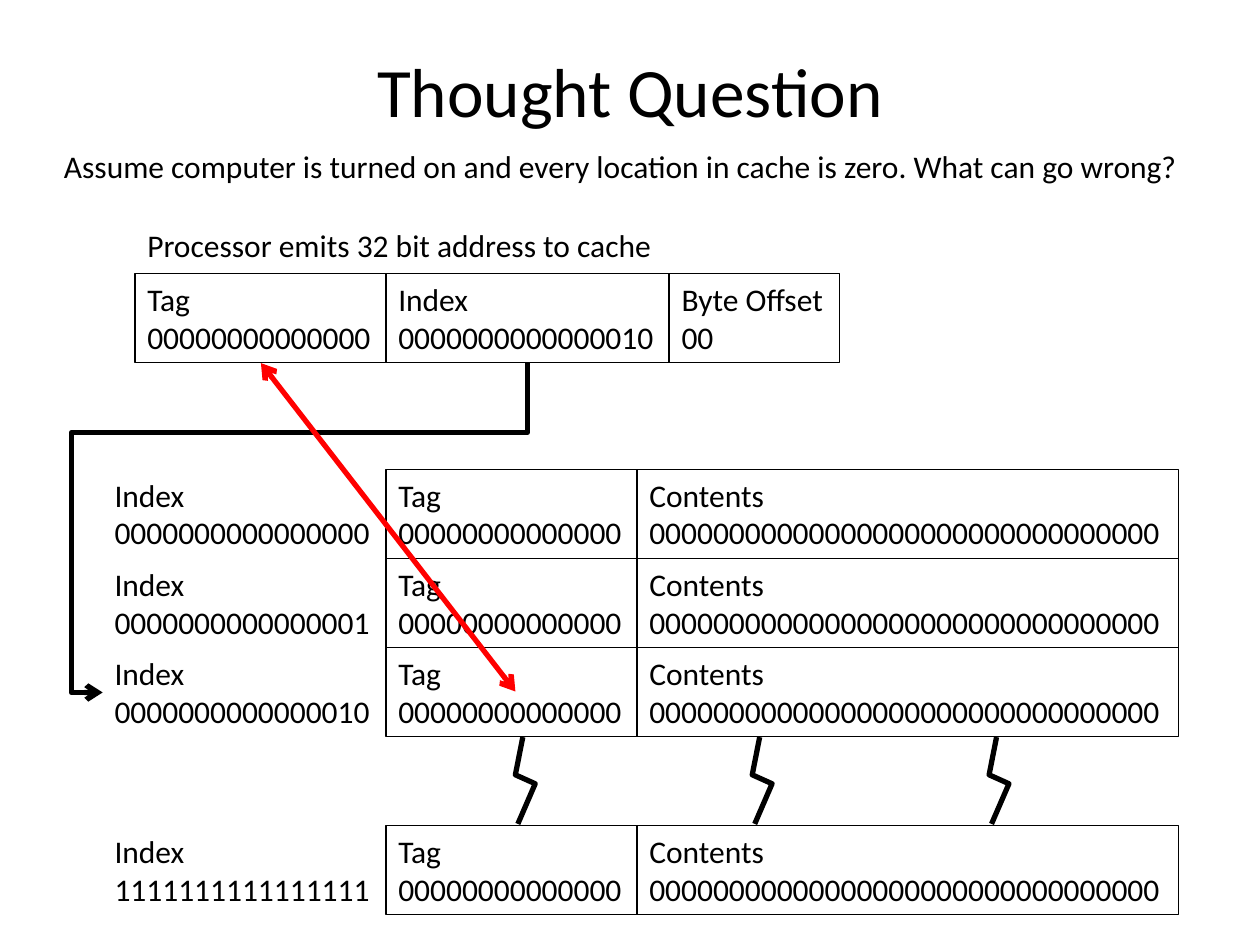
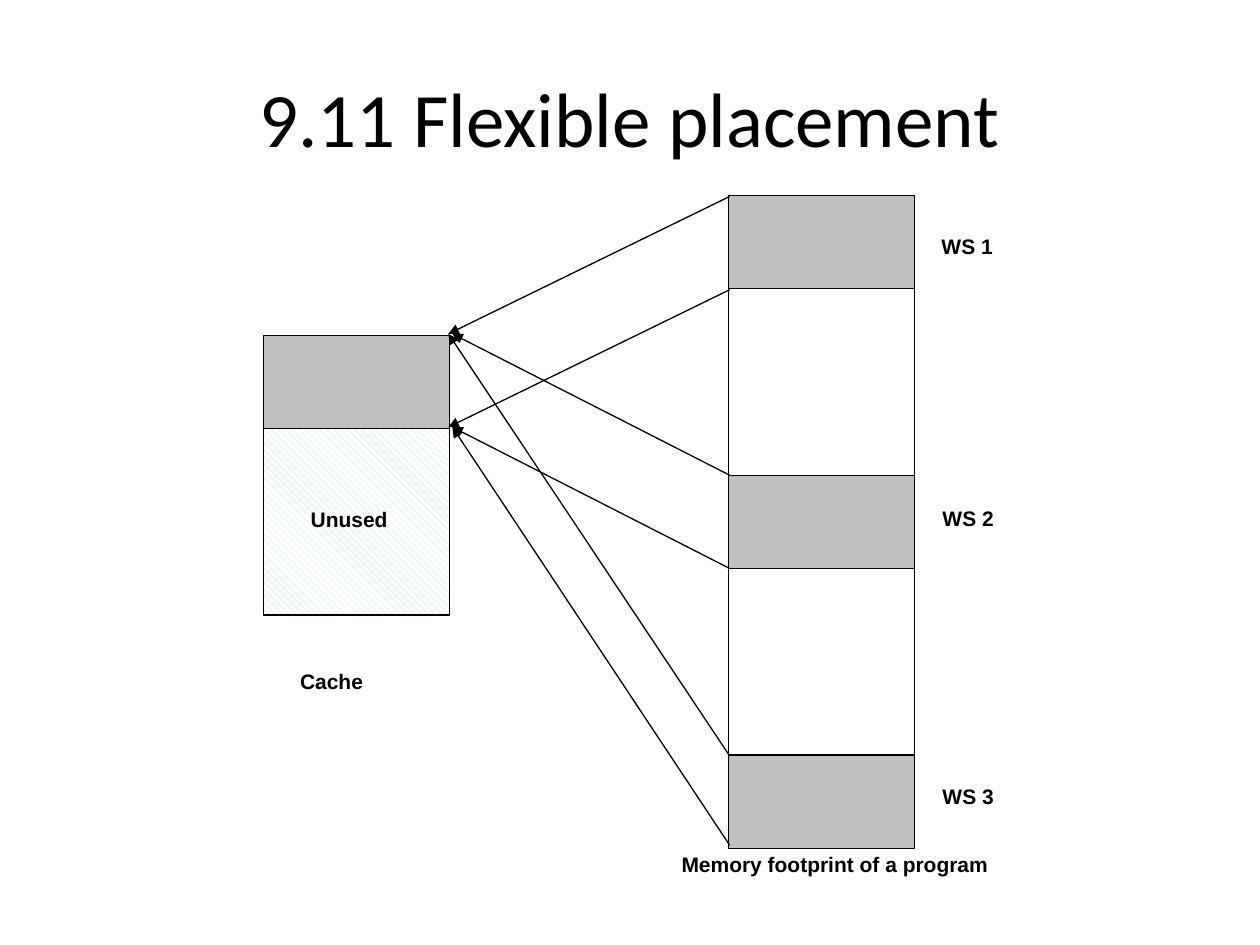
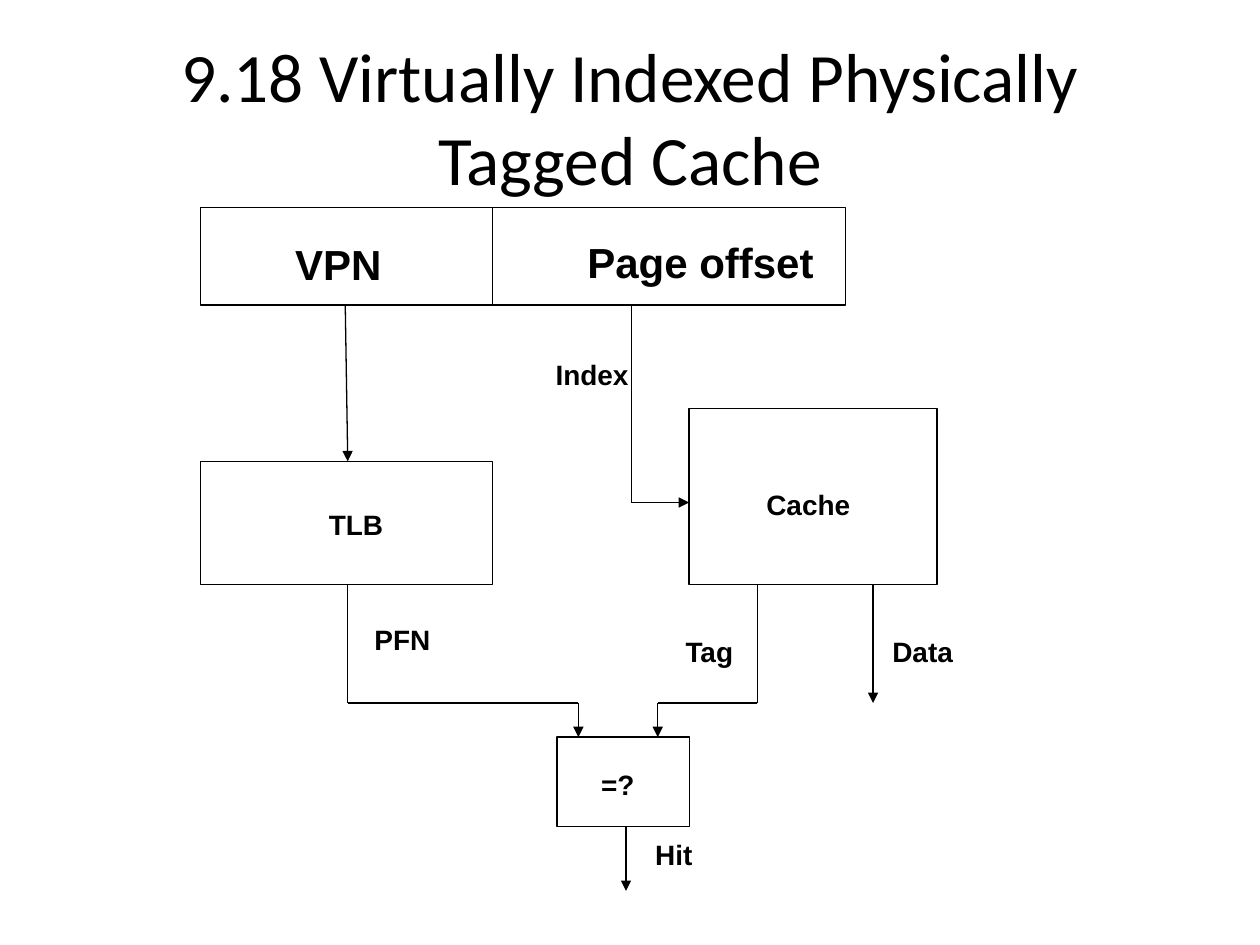
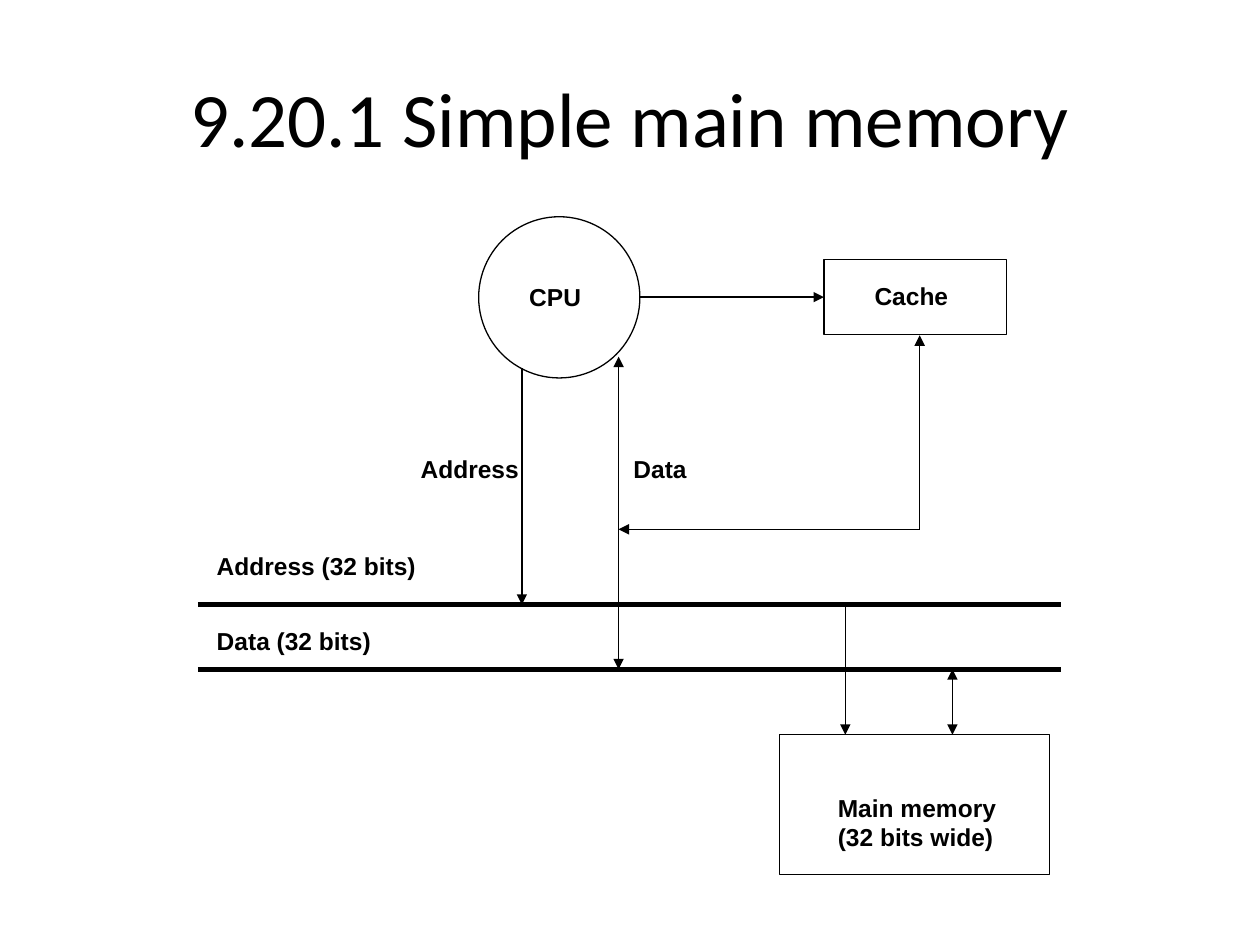
from dataclasses import dataclass
from typing import Optional, Sequence

from lxml.etree import SubElement
from pptx import Presentation
from pptx.dml.color import RGBColor
from pptx.enum.dml import MSO_PATTERN
from pptx.enum.shapes import MSO_CONNECTOR as Connector, MSO_SHAPE as Preset
from pptx.enum.text import MSO_ANCHOR as Anchor, MSO_AUTO_SIZE as AutoSize, PP_ALIGN as Align
from pptx.oxml.ns import qn
from pptx.util import Cm, Pt

BLACK, WHITE, RED = "000000", "FFFFFF", "FF0000"
WORKING_SET, UNUSED = "C0C0C0", "BBE0E3"
TITLE_FONT, LABEL_FONT = "Calibri", "Arial"
THIN, THICK = 0.75, 3
DEFAULT_INSET = (0.25, 0.13)


@dataclass(frozen=True)
class Box:
    """An outlined shape, measured in centimetres."""
    left: float
    top: float
    width: float
    height: float
    fill: Optional[str] = None
    preset: Preset = Preset.RECTANGLE


@dataclass(frozen=True)
class Label:
    """A piece of text and its place in centimetres."""
    text: str
    left: float
    top: float
    width: float
    height: float
    size: float
    align: Align = Align.LEFT


@dataclass(frozen=True)
class Route:
    """A run of straight lines through points in centimetres."""
    points: Sequence[tuple[float, float]]
    head: str = ""
    tail: str = "triangle"
    color: str = BLACK
    weight: float = THIN


def rgb(value: str) -> RGBColor:
    """Return the colour of a hex string."""
    return RGBColor.from_string(value)


def write_text(frame, text: str, *, size: float, font: str = LABEL_FONT, bold: bool = False,
               align: Align = Align.LEFT, anchor: Anchor = Anchor.TOP, wrap: bool = True,
               inset: tuple[float, float] = DEFAULT_INSET, space_after: float = 0,
               auto_size: AutoSize = AutoSize.NONE) -> None:
    """Fill a text frame, one paragraph for each line of text."""
    frame.text = text
    frame.word_wrap, frame.vertical_anchor, frame.auto_size = wrap, anchor, auto_size
    frame.margin_left = frame.margin_right = Cm(inset[0])
    frame.margin_top = frame.margin_bottom = Cm(inset[1])
    for paragraph in frame.paragraphs:
        paragraph.alignment, paragraph.space_after = align, Pt(space_after)
        paragraph.font.name, paragraph.font.size = font, Pt(size)
        paragraph.font.bold, paragraph.font.color.rgb = bold, rgb(BLACK)


def add_titled_slide(presentation, title: str, size: float = 44, height: float = 3.18):
    """Add a title-only slide and place its title."""
    slide = presentation.slides.add_slide(presentation.slide_layouts[5])
    shape = slide.shapes.title
    shape.left, shape.top, shape.width, shape.height = map(Cm, (1.27, 0.76, 22.86, height))
    write_text(shape.text_frame, title, size=size, font=TITLE_FONT,
               align=Align.CENTER, anchor=Anchor.MIDDLE)
    return slide


def style_line(line, color: str = BLACK, weight: float = THIN) -> None:
    """Set the colour and weight of a line."""
    line.color.rgb = rgb(color)
    line.width = Pt(weight)


def add_box(slide, box: Box):
    """Draw an outlined box."""
    shape = slide.shapes.add_shape(
        box.preset, *map(Cm, (box.left, box.top, box.width, box.height)))
    shape.shadow.inherit = False
    style_line(shape.line)
    if box.fill:
        shape.fill.solid()
        shape.fill.fore_color.rgb = rgb(box.fill)
    else:
        shape.fill.background()
    return shape


def add_label(slide, label: Label, **text_format):
    """Draw a text box, bold unless told otherwise."""
    shape = slide.shapes.add_textbox(
        *map(Cm, (label.left, label.top, label.width, label.height)))
    write_text(shape.text_frame, label.text, size=label.size, align=label.align,
               **{"bold": True, **text_format})
    return shape


def finish_connector(connector, color: str, weight: float, head: str, tail: str) -> None:
    """Style a connector, give it arrowheads and drop its shadow."""
    style_line(connector.line, color, weight)
    properties = connector.element.spPr
    outline = properties.find(qn("a:ln"))
    for tag, kind in (("a:headEnd", head), ("a:tailEnd", tail)):
        if kind:
            SubElement(outline, qn(tag), type=kind)
    SubElement(properties, qn("a:effectLst"))


def add_route(slide, route: Route) -> None:
    """Draw the lines of a route with arrowheads at its two ends."""
    last = len(route.points) - 2
    for position, (begin, end) in enumerate(zip(route.points, route.points[1:])):
        connector = slide.shapes.add_connector(Connector.STRAIGHT, *map(Cm, (*begin, *end)))
        finish_connector(connector, route.color, route.weight,
                         route.head if position == 0 else "",
                         route.tail if position == last else "")


def add_diagram(slide, boxes: Sequence[Box], routes: Sequence[Route],
                labels: Sequence[Label], **text_format) -> None:
    """Draw boxes, then routes, then labels."""
    for box in boxes:
        add_box(slide, box)
    for route in routes:
        add_route(slide, route)
    for label in labels:
        add_label(slide, label, **text_format)


def add_field(slide, name: str, bits: str, left: float, top: float, width: float,
              outlined: bool = True) -> None:
    """Draw a named bit field."""
    field_format = {"font": TITLE_FONT, "wrap": False, "auto_size": AutoSize.SHAPE_TO_FIT_TEXT}
    text, place = f"{name}\n{bits}", (left, top, width, 1.8)
    if outlined:
        write_text(add_box(slide, Box(*place)).text_frame, text, size=18, **field_format)
    else:
        add_label(slide, Label(text, *place, 18), bold=False, **field_format)


def add_break(slide, left: float, top: float) -> None:
    """Draw a zigzag that stands for the rows left out."""
    offsets = ((0, 0), (-0.15, 0.76), (0.25, 0.94), (-0.1, 1.75))
    points = [(Cm(left + x), Cm(top + y)) for x, y in offsets]
    builder = slide.shapes.build_freeform(*points[0], scale=1.0)
    builder.add_line_segments(points[1:], close=False)
    shape = builder.convert_to_shape()
    shape.shadow.inherit = False
    shape.fill.background()
    style_line(shape.line, weight=THICK)


def add_index_arrow(slide) -> None:
    """Draw the bent arrow from the address index to its cache row."""
    connector = slide.shapes.add_connector(
        Connector.ELBOW, *map(Cm, (3.02, 6.35, 9.68, 14.91)))
    properties = connector.element.spPr
    properties.find(qn("a:xfrm")).set("rot", str(90 * 60000))
    geometry = properties.find(qn("a:prstGeom"))
    geometry.set("prst", "bentConnector4")
    guides = geometry.find(qn("a:avLst"))
    for name, value in (("adj1", 21300), ("adj2", 107400)):
        SubElement(guides, qn("a:gd"), name=name, fmla=f"val {value}")
    finish_connector(connector, BLACK, THICK, "", "arrow")


def build_thought_question(presentation) -> None:
    """Build the slide on a cache full of zeros."""
    slide = add_titled_slide(presentation, "Thought Question", 39.6, 2.08)
    sentence_format = {"font": TITLE_FONT, "bold": False, "wrap": False}
    tag_width, index_width, tag_left = 5.06, 5.72, 7.78
    tag_bits = "0" * 14

    add_field(slide, "Index", "0000000000000010", tag_left, 5.51, index_width)
    add_field(slide, "Byte Offset", "00", 13.49, 5.51, 3.43)
    add_field(slide, "Tag", tag_bits, 2.72, 5.51, tag_width)
    add_label(slide, Label("Processor emits 32 bit address to cache",
                           2.72, 4.42, 10.8, 1.02, 18), **sentence_format)

    for row, index in ((0, 0), (1, 1), (2, 2), (4, 2 ** 16 - 1)):
        top = 9.46 + 1.795 * row
        index_bits = f"{index:016b}"
        add_field(slide, "Index", index_bits, 2.06, top, index_width, outlined=False)
        add_field(slide, "Tag", tag_bits, tag_left, top, tag_width)
        add_field(slide, "Contents", "0" * 32, tag_left + tag_width, top, 10.92)

    for column in range(3):
        add_break(slide, 10.54 + 4.775 * column, 14.86)
    add_index_arrow(slide)
    add_route(slide, Route(((5.26, 7.32), (10.39, 13.94)), "arrow", "arrow", RED, THICK))
    add_label(slide, Label(
        "Assume computer is turned on and every location in cache is zero. What can go wrong?",
        1.04, 2.84, 23.24, 1.02, 18), **sentence_format)


def build_flexible_placement(presentation) -> None:
    """Build the slide on working sets that share one cache area."""
    slide = add_titled_slide(presentation, "9.11 Flexible placement")
    width, set_height, memory_left, memory_top = 3.76, 1.88, 14.68, 3.94
    unused = add_box(slide, Box(5.31, 8.64, width, 3.76))
    unused.fill.patterned()
    unused.fill.pattern = MSO_PATTERN.WIDE_DOWNWARD_DIAGONAL
    unused.fill.fore_color.rgb = rgb(UNUSED)
    unused.fill.back_color.rgb = rgb(WHITE)

    working_sets = [Box(memory_left, memory_top + 5.64 * number, width, set_height, WORKING_SET)
                    for number in range(3)]
    boxes = [Box(5.31, 6.76, width, set_height, WORKING_SET),
             Box(memory_left, memory_top, width, 12.4), *working_sets]
    routes = [Route(((14.71, start), (end, target))) for start, end, target in (
        (3.96, 9.04, 6.73), (5.84, 9.04, 8.61),
        (9.58, 9.12, 6.73), (11.46, 9.12, 8.61),
        (15.24, 9.04, 6.73), (17.04, 9.12, 8.61))]
    labels = [
        Label("WS 1", 18.85, 4.62, 1.37, 0.64, 12),
        Label("WS 2", 18.87, 10.11, 1.37, 0.64, 12),
        Label("WS 3", 18.87, 15.72, 1.37, 0.64, 12),
        Label("Cache", 5.92, 13.39, 1.68, 0.64, 12),
        Label("Memory footprint of a program", 13.61, 17.09, 6.65, 0.64, 12),
        Label("Unused", 5.92, 10.13, 2.24, 0.64, 12, Align.CENTER),
    ]
    add_diagram(slide, boxes, routes, labels, inset=(0.13, 0.08), space_after=10)


def build_tagged_cache(presentation) -> None:
    """Build the slide on the virtually indexed cache."""
    slide = add_titled_slide(
        presentation, "9.18 Virtually Indexed Physically Tagged Cache", 39.6)
    boxes = [
        Box(4.04, 4.19, 13, 1.96),
        Box(4.04, 9.3, 5.89, 2.49),
        Box(13.89, 8.23, 5, 3.56),
        Box(11.23, 14.86, 2.67, 1.8),
    ]
    routes = [
        Route(((9.93, 4.19), (9.93, 6.17)), tail=""),
        Route(((6.96, 6.17), (7.01, 9.3))),
        Route(((12.73, 6.17), (12.73, 10.13), (13.89, 10.13))),
        Route(((17.6, 11.79), (17.6, 14.17))),
        Route(((7.01, 11.79), (7.01, 14.17), (11.66, 14.17), (11.66, 14.86))),
        Route(((15.27, 11.79), (15.27, 14.17), (13.26, 14.17), (13.26, 14.86))),
        Route(((12.62, 16.66), (12.62, 17.96))),
    ]
    labels = [
        Label("Page offset", 11.66, 4.67, 5, 0.99, 24),
        Label("VPN", 5.77, 4.7, 2.44, 0.99, 24),
        Label("TLB", 6.45, 10.13, 1.68, 0.81, 16),
        Label("Cache", 15.27, 9.73, 2.31, 0.81, 16),
        Label("=?", 11.94, 15.37, 1.32, 0.81, 16),
        Label("PFN", 7.37, 12.45, 1.75, 0.81, 16),
        Label("Tag", 13.64, 12.7, 1.6, 0.81, 16),
        Label("Data", 17.81, 12.7, 1.78, 0.81, 16),
        Label("Hit", 13.03, 16.79, 1.4, 0.81, 16),
        Label("Index", 11.02, 7.11, 2.01, 0.81, 16),
    ]
    add_diagram(slide, boxes, routes, labels, inset=(0.18, 0.1))


def build_main_memory(presentation) -> None:
    """Build the slide on a simple main memory."""
    slide = add_titled_slide(presentation, "9.20.1 Simple main memory")
    address_bus, data_bus = 12.19, 13.49
    boxes = [
        Box(9.65, 4.37, 3.25, 3.25, preset=Preset.OVAL),
        Box(16.61, 5.23, 3.68, 1.52),
        Box(15.72, 14.81, 5.44, 2.82),
    ]
    routes = [
        *(Route(((3.99, bus), (21.39, bus)), tail="", weight=THICK)
          for bus in (address_bus, data_bus)),
        Route(((12.9, 5.99), (16.61, 5.99))),
        Route(((10.52, 7.42), (10.52, address_bus))),
        Route(((17.04, address_bus), (17.04, 14.81))),
        Route(((19.2, data_bus), (19.2, 14.81)), head="triangle"),
        Route(((12.47, 7.19), (12.47, data_bus)), head="triangle"),
        Route(((12.47, 10.67), (18.54, 10.67), (18.54, 6.76)), head="triangle"),
    ]
    labels = [
        Label("CPU", 10.52, 5.61, 1.45, 0.74, 14),
        Label("Cache", 17.48, 5.59, 2.06, 0.74, 14),
        Label("Address", 8.33, 9.07, 2.82, 0.74, 14),
        Label("Address (32 bits)", 4.22, 11.02, 4.32, 0.74, 14),
        Label("Data (32 bits)", 4.22, 12.55, 3.53, 0.74, 14),
        Label("Data", 12.62, 9.07, 1.57, 0.74, 14),
        Label("Main memory\n(32 bits wide)", 16.74, 15.9, 4.34, 1.52, 14),
    ]
    add_diagram(slide, boxes, routes, labels, inset=(0.15, 0.08))


def main() -> None:
    """Build and save the presentation."""
    presentation = Presentation()
    presentation.slide_width, presentation.slide_height = Cm(25.4), Cm(19.05)
    build_thought_question(presentation)
    build_flexible_placement(presentation)
    build_tagged_cache(presentation)
    build_main_memory(presentation)
    presentation.save("out.pptx")


if __name__ == "__main__":
    main()
